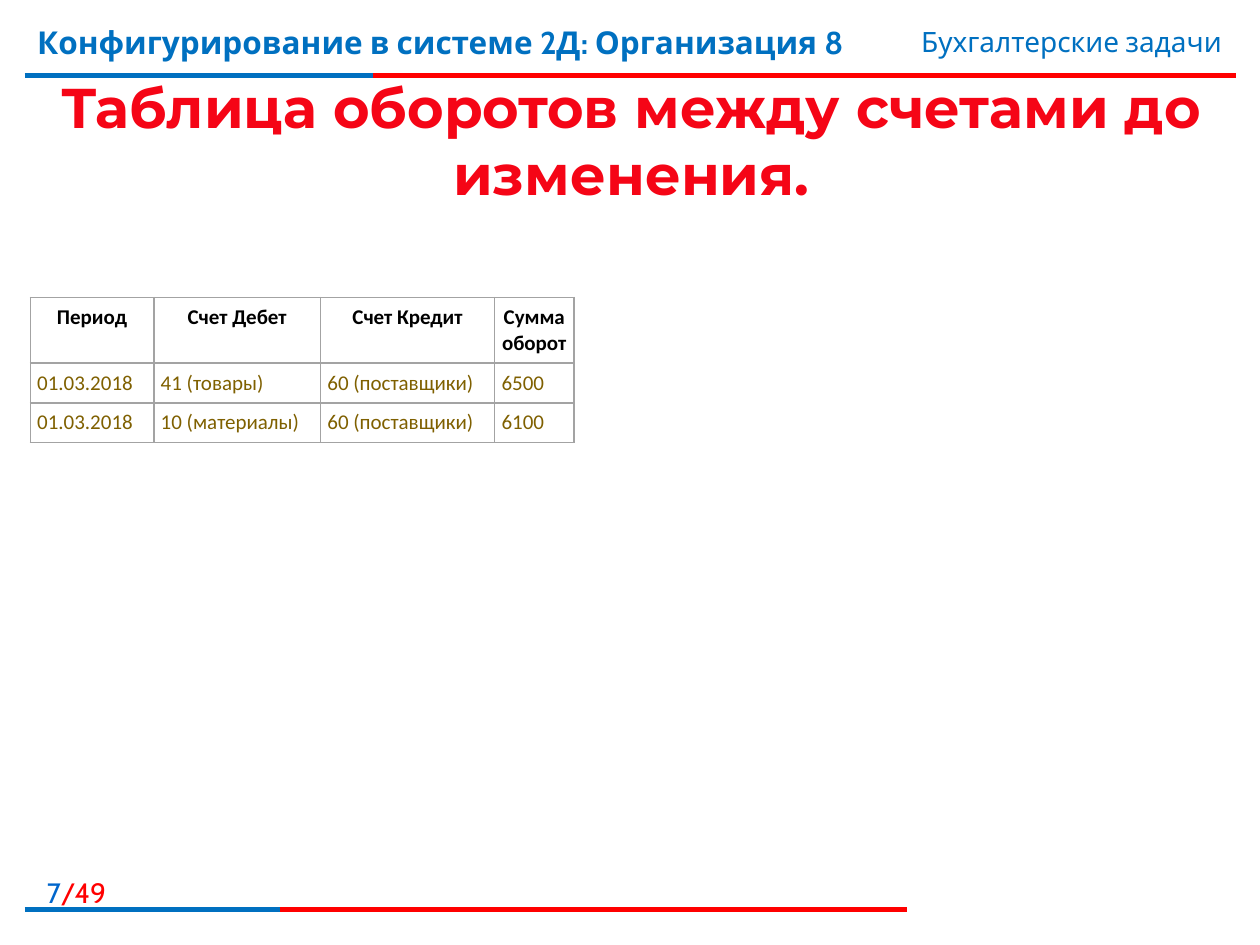
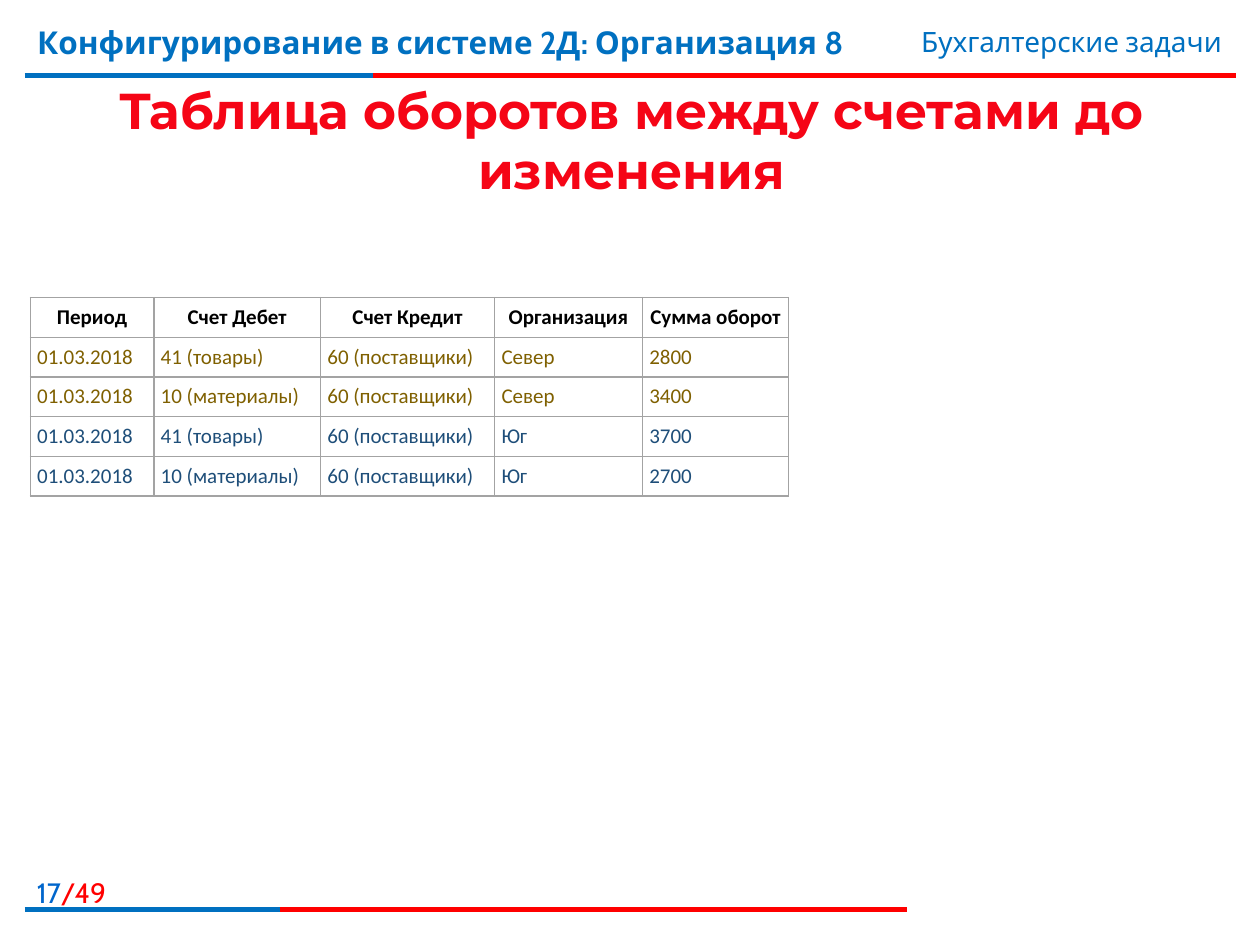
import pptx
import pptx.dml.color
import pptx.enum.shapes
import pptx.enum.text
import pptx.oxml
import pptx.oxml.ns
import pptx.util

Cm = pptx.util.Cm
Pt = pptx.util.Pt
RGBColor = pptx.dml.color.RGBColor
Align = pptx.enum.text.PP_ALIGN
Anchor = pptx.enum.text.MSO_ANCHOR

BLUE = RGBColor(0x00, 0x70, 0xC0)
NUMBER_BLUE = RGBColor(0x00, 0x66, 0xCC)
RED = RGBColor(0xFF, 0x00, 0x00)
TITLE_RED = RGBColor(0xF5, 0x05, 0x16)
BLACK = RGBColor(0x00, 0x00, 0x00)
OLIVE = RGBColor(0x7F, 0x60, 0x00)
NAVY = RGBColor(0x1E, 0x4E, 0x79)
BORDER_GRAY = RGBColor(0xA3, 0xA3, 0xA3)

HEADER_FONT = "Cabin"
TITLE_FONT = "Montserrat"
TABLE_FONT = "Calibri"

COURSE = "Конфигурирование в системе 2Д: Организация 8"
TOPIC = "Бухгалтерские задачи"
SLIDE_TOTAL = 49
RULE_LEFT = 0.5
ROW_HEIGHT = 0.8
CELL_MARGIN = Cm(0.14)
DRAWING_NS = pptx.oxml.ns.nsdecls("a")

PERIOD = "01.03.2018"
GOODS = "41 (товары)"
MATERIALS = "10 (материалы)"
SUPPLIERS = "60 (поставщики)"


def write_text(para, text, *, size, font, color, bold=False, align=Align.LEFT):
    """Append one formatted span to the paragraph."""
    para.alignment = align
    span = para.add_run()
    span.text = text
    span.font.size = Pt(size)
    span.font.name = font
    span.font.bold = bold
    span.font.color.rgb = color


def add_box(page, left, top, width, height, anchor=Anchor.TOP):
    """Add an empty wrapping text box and return its first paragraph."""
    box = page.shapes.add_textbox(Cm(left), Cm(top), Cm(width), Cm(height))
    box.text_frame.word_wrap = True
    box.text_frame.vertical_anchor = anchor
    return box.text_frame.paragraphs[0]


def add_rule(page, top, right, color):
    rule = page.shapes.add_connector(
        pptx.enum.shapes.MSO_CONNECTOR.STRAIGHT,
        Cm(RULE_LEFT), Cm(top), Cm(right), Cm(top))
    rule.line.color.rgb = color
    rule.line.width = Pt(3)
    properties = rule._element.spPr
    properties.append(pptx.oxml.parse_xml(f"<a:effectLst {DRAWING_NS}/>"))


def add_two_color_rule(page, top, blue_right, red_right):
    add_rule(page, top, red_right, RED)
    add_rule(page, top, blue_right, BLUE)


def add_frame(page, number):
    """Draw the header and the footer that every slide shares."""
    add_two_color_rule(page, 1.52, 7.52, 24.92)
    add_two_color_rule(page, 18.34, 5.64, 18.29)
    write_text(add_box(page, 0.5, 0.33, 18.8, 1.57), COURSE,
               size=18, font=HEADER_FONT, color=BLUE, bold=True)
    write_text(add_box(page, 15.09, 0.38, 9.8, 0.94), TOPIC,
               size=16, font=HEADER_FONT, color=BLUE, align=Align.RIGHT)
    para = add_box(page, -0.25, 17.53, 2.64, 0.81)
    for text, color in ((str(number), NUMBER_BLUE), (f"/{SLIDE_TOTAL}", RED)):
        write_text(para, text, size=16, font=HEADER_FONT, color=color, align=Align.RIGHT)


def add_title(page, text, size):
    para = add_box(page, 0.53, 1.6, 24.41, 2.42, Anchor.MIDDLE)
    write_text(para, text, size=size, font=TITLE_FONT, color=TITLE_RED,
               bold=True, align=Align.CENTER)


def set_borders(cell):
    properties = cell._tc.get_or_add_tcPr()
    for side in ("lnL", "lnR", "lnT", "lnB"):
        line = pptx.oxml.parse_xml(
            f'<a:{side} {DRAWING_NS} w="{Pt(1)}"><a:solidFill>'
            f'<a:srgbClr val="{BORDER_GRAY}"/></a:solidFill></a:{side}>')
        properties.append(line)


def fill_cell(cell, text, **text_format):
    cell.margin_left = cell.margin_right = CELL_MARGIN
    cell.margin_top = cell.margin_bottom = CELL_MARGIN
    set_borders(cell)
    cell.fill.background()
    write_text(cell.text_frame.paragraphs[0], text, size=12, font=TABLE_FONT, **text_format)


def add_turnover_table(page, columns, records, header_height=ROW_HEIGHT):
    """Columns are (heading, width) pairs; records are (color, values) pairs."""
    heights = [header_height] + [ROW_HEIGHT] * len(records)
    widths = [width for _, width in columns]
    table = page.shapes.add_table(
        len(heights), len(widths), Cm(0.61), Cm(6),
        Cm(sum(widths)), Cm(sum(heights))).table
    table.horz_banding = False
    table.first_row = False
    for column, width in zip(table.columns, widths):
        column.width = Cm(width)
    for row, height in zip(table.rows, heights):
        row.height = Cm(height)
    for index, (heading, _) in enumerate(columns):
        fill_cell(table.cell(0, index), heading, color=BLACK, bold=True, align=Align.CENTER)
    for row_index, (color, values) in enumerate(records, start=1):
        for index, value in enumerate(values):
            fill_cell(table.cell(row_index, index), value, color=color)


def add_page(deck, number, title, title_size):
    page = deck.slides.add_slide(deck.slide_layouts[6])
    add_frame(page, number)
    add_title(page, title, title_size)
    return page


def main():
    deck = pptx.Presentation()
    deck.slide_width = Cm(25.4)
    deck.slide_height = Cm(19.05)
    title = "Таблица оборотов между счетами до изменения"
    account_columns = [("Период", 2.49), ("Счет Дебет", 3.36), ("Счет Кредит", 3.51)]

    page = add_page(deck, 7, title + ".", 32)
    add_turnover_table(page, account_columns + [("Сумма оборот", 1.6)], [
        (OLIVE, (PERIOD, GOODS, SUPPLIERS, "6500")),
        (OLIVE, (PERIOD, MATERIALS, SUPPLIERS, "6100")),
    ], header_height=1.32)

    page = add_page(deck, 17, title, 28.8)
    columns = account_columns + [("Организация", 2.98), ("Сумма оборот", 2.95)]
    add_turnover_table(page, columns, [
        (OLIVE, (PERIOD, GOODS, SUPPLIERS, "Север", "2800")),
        (OLIVE, (PERIOD, MATERIALS, SUPPLIERS, "Север", "3400")),
        (NAVY, (PERIOD, GOODS, SUPPLIERS, "Юг", "3700")),
        (NAVY, (PERIOD, MATERIALS, SUPPLIERS, "Юг", "2700")),
    ])

    deck.save("out.pptx")


if __name__ == "__main__":
    main()
